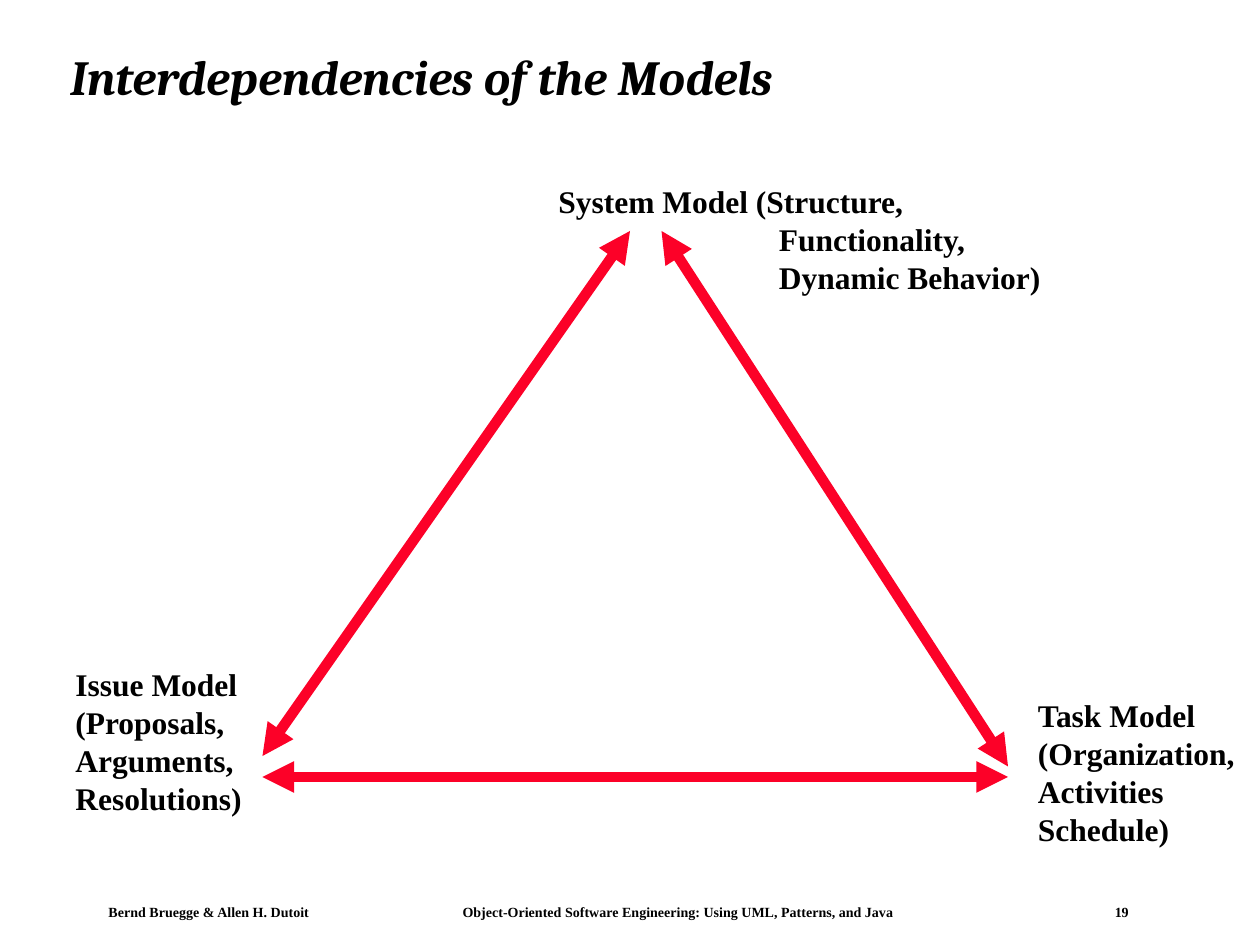
from lxml.etree import SubElement
from pptx import Presentation
from pptx.dml.color import RGBColor
from pptx.enum.shapes import MSO_CONNECTOR, MSO_SHAPE
from pptx.enum.text import MSO_ANCHOR, PP_ALIGN
from pptx.oxml.ns import qn
from pptx.util import Pt

BLACK = "000000"
RED = "FC0128"
BODY_FONT = "Times New Roman"
TITLE_FONT = "Cambria"


def color(hex_string):
    return RGBColor.from_string(hex_string)


def add_frame(slide, box):
    """Add an unfilled, barely rounded rectangle that holds text."""
    shape = slide.shapes.add_shape(MSO_SHAPE.ROUNDED_RECTANGLE, *box)
    shape.adjustments[0] = 0
    shape.shadow.inherit = False
    shape.fill.background()
    shape.line.fill.background()
    return shape


def add_text(slide, box, lines, size=18, font=BODY_FONT, italic=False, framed=True,
             anchor=MSO_ANCHOR.TOP, margins=(7.2, 3.6), hanging=0, tabs=()):
    """Add bold text, one paragraph a line; hanging indents all but the first."""
    box = [Pt(length) for length in box]
    shape = add_frame(slide, box) if framed else slide.shapes.add_textbox(*box)
    frame = shape.text_frame
    frame.word_wrap = True
    frame.vertical_anchor = anchor
    frame.margin_left = frame.margin_right = Pt(margins[0])
    frame.margin_top = frame.margin_bottom = Pt(margins[1])
    for index, line in enumerate(lines):
        paragraph = frame.add_paragraph() if index else frame.paragraphs[0]
        paragraph.alignment = PP_ALIGN.LEFT
        paragraph.line_spacing = 1.0 if index else 0.93
        run = paragraph.add_run()
        run.text = line
        run.font.name = font
        run.font.size = Pt(size)
        run.font.bold = True
        run.font.italic = italic
        run.font.color.rgb = color(BLACK)
        properties = paragraph._p.get_or_add_pPr()
        if index and hanging:
            properties.set("marL", str(Pt(hanging)))
            properties.set("indent", "0")
        if tabs:
            tab_list = SubElement(properties, qn("a:tabLst"))
            for position in tabs:
                SubElement(tab_list, qn("a:tab"), pos=str(Pt(position)), algn="l")


def add_double_arrow(slide, start, end):
    connector = slide.shapes.add_connector(
        MSO_CONNECTOR.STRAIGHT, *(Pt(length) for length in start + end))
    connector.line.color.rgb = color(RED)
    connector.line.width = Pt(6)
    line = connector.line._get_or_add_ln()
    for end_name in ("a:headEnd", "a:tailEnd"):
        SubElement(line, qn(end_name), type="triangle")
    SubElement(connector._element.spPr, qn("a:effectLst"))


def main():
    presentation = Presentation()
    presentation.slide_width = Pt(720)
    presentation.slide_height = Pt(540)
    slide = presentation.slides.add_slide(presentation.slide_layouts[6])

    footer = ("Bernd Bruegge & Allen H. Dutoit",
              "Object-Oriented Software Engineering: Using UML, Patterns, and Java",
              "19")
    add_text(slide, (56.2, 514.4, 595.4, 15.1), ["\t".join(footer)],
             size=8, margins=(5.8, 2.9), tabs=(202.3, 575))
    add_text(slide, (33.1, 17.3, 642.2, 55.4), ["Interdependencies of the Models"],
             size=28, font=TITLE_FONT, italic=True, framed=False,
             anchor=MSO_ANCHOR.MIDDLE)

    add_text(slide, (312, 102.2, 300.2, 72),
             ["System Model (Structure,", "Functionality,", "Dynamic Behavior)"],
             hanging=126)
    add_text(slide, (36, 378.3, 118.8, 93.6),
             ["Issue Model", "(Proposals,", "Arguments,", "Resolutions)"])
    add_text(slide, (586, 396, 134, 93.6),
             ["Task Model", "(Organization,", "Activities", "Schedule)"])

    add_double_arrow(slide, (360, 132), (150, 432))
    add_double_arrow(slide, (150, 444), (576, 444))
    add_double_arrow(slide, (576, 438), (378, 132))

    presentation.save("out.pptx")


if __name__ == "__main__":
    main()
